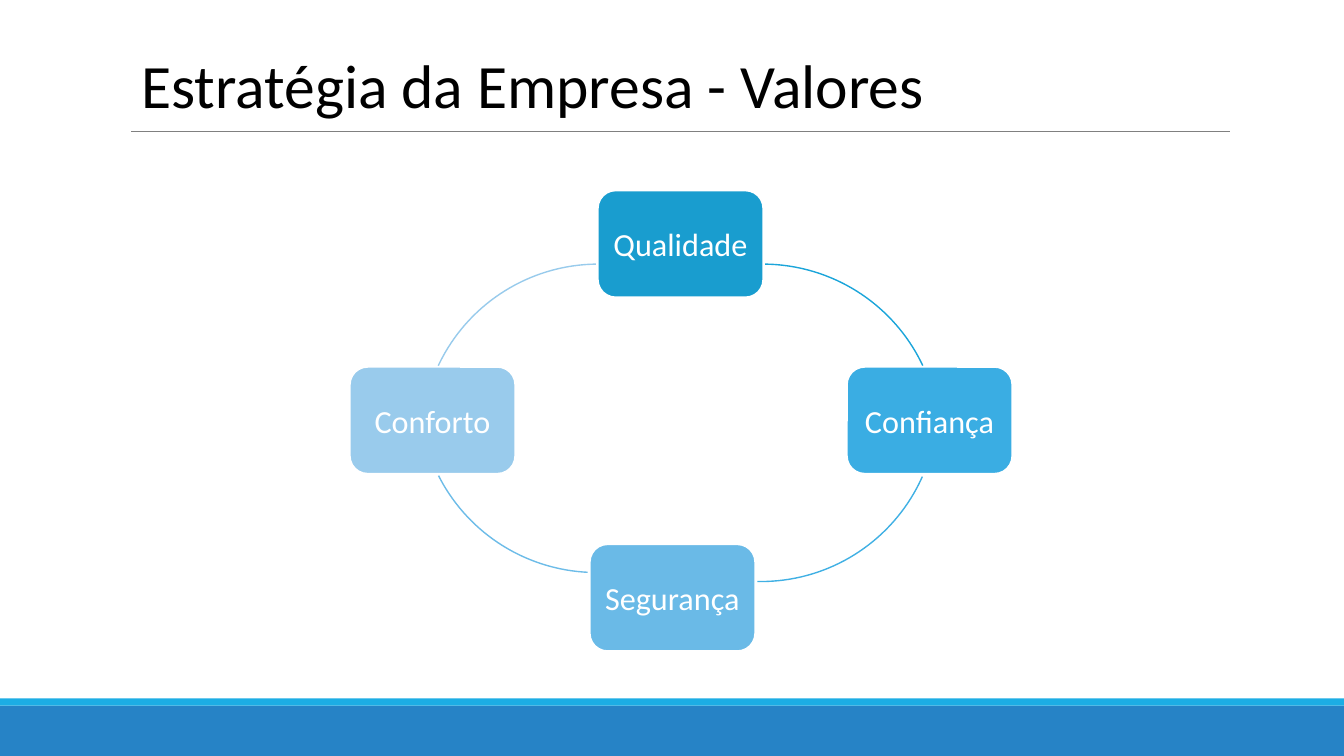
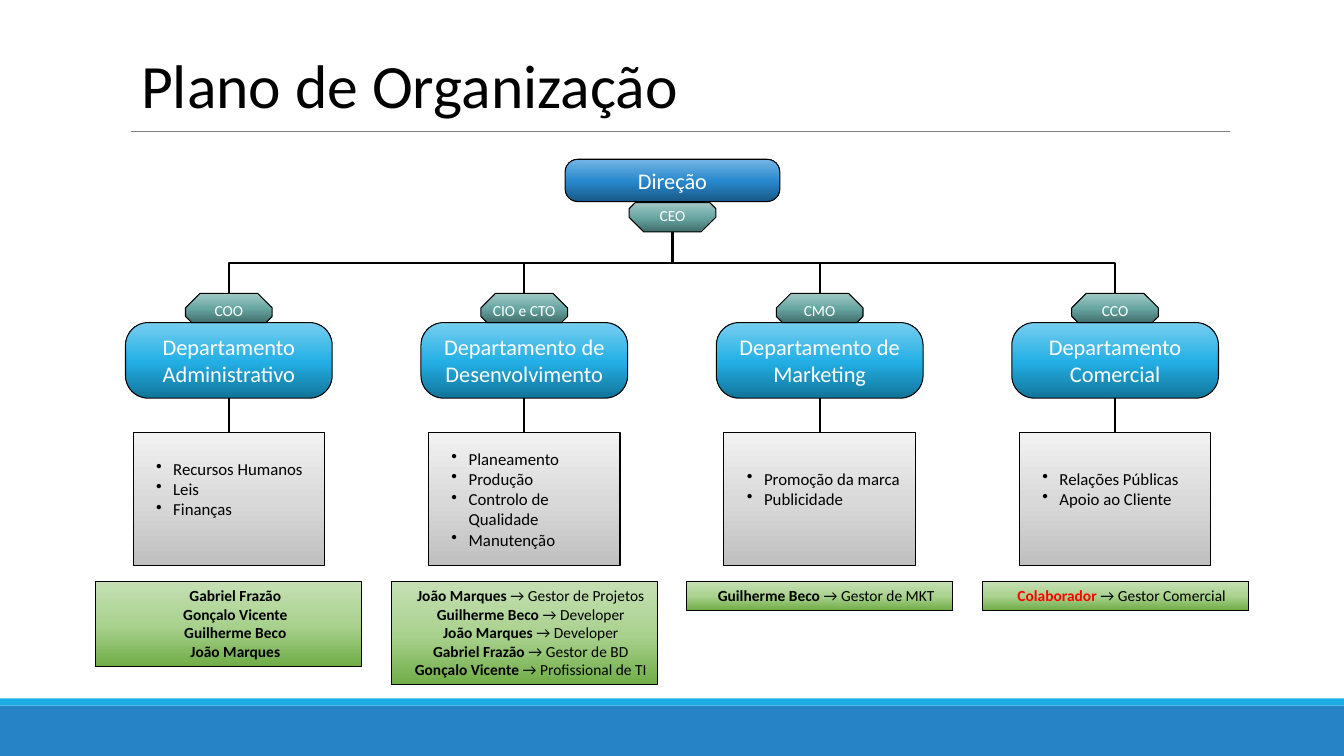
import copy
import dataclasses

import pptx
import pptx.dml.color
import pptx.enum.shapes
import pptx.enum.text
import pptx.oxml
import pptx.oxml.ns
import pptx.util
from pptx.util import Inches

SHAPES = pptx.enum.shapes.MSO_SHAPE
CONNECTORS = pptx.enum.shapes.MSO_CONNECTOR
ALIGN = pptx.enum.text.PP_ALIGN
ANCHOR = pptx.enum.text.MSO_ANCHOR


@dataclasses.dataclass(frozen=True)
class Theme:
    font: str = "Calibri"
    black: str = "000000"
    white: str = "FFFFFF"
    highlight: str = "FF0000"
    rule: str = "808080"
    band: str = "2683C6"
    band_edge: str = "1CADE4"
    board: tuple = ("195885", "2788CD", "75B6E5")
    badge: tuple = ("416E6B", "67A6A2", "A1C8C5")
    department: tuple = ("127499", "23AFE5", "77CEEF")
    panel: tuple = ("BFBFBF", "D9D9D9", "F2F2F2")
    staff: tuple = ("70AD47", "A9D18E", "C5E0B4")
    title_size: int = 44
    value_size: int = 23
    department_size: int = 16
    list_size: int = 12
    small_size: int = 11


@dataclasses.dataclass(frozen=True)
class Department:
    role: str
    name: str
    duties: tuple
    staff: tuple


DEPARTMENTS = (
    Department("COO", "Departamento Administrativo",
               ("Recursos Humanos", "Leis", "Finanças"),
               (("Gabriel Frazão", ""), ("Gonçalo Vicente", ""),
                ("Guilherme Beco", ""), ("João Marques", ""))),
    Department("CIO e CTO", "Departamento de Desenvolvimento",
               ("Planeamento", "Produção", "Controlo de Qualidade", "Manutenção"),
               (("João Marques", "Gestor de Projetos"), ("Guilherme Beco", "Developer"),
                ("João Marques", "Developer"), ("Gabriel Frazão", "Gestor de BD"),
                ("Gonçalo Vicente", "Profissional de TI"))),
    Department("CMO", "Departamento de Marketing",
               ("Promoção da marca", "Publicidade"),
               (("Guilherme Beco", "Gestor de MKT"),)),
    Department("CCO", "Departamento Comercial",
               ("Relações Públicas", "Apoio ao Cliente"),
               (("Colaborador", "Gestor Comercial"),)),
)

VALUES = (
    ("Qualidade", 5.93, 1.89, "199DCF"),
    ("Confiança", 8.4, 3.64, "3AADE3"),
    ("Segurança", 5.85, 5.4, "6ABAE7"),
    ("Conforto", 3.47, 3.64, "99CBEC"),
)

ARCS = (
    (5.81, 2.62, 270.8, 334.8, "1BA5DA"),
    (5.79, 2.26, 24, 91.1, "40B0E4"),
    (4.16, 2.17, 92.8, 153.1, "6DBCE8"),
    (4.18, 2.62, 205.2, 269.2, "98CBEC"),
)


def rgb(colour):
    return pptx.dml.color.RGBColor.from_string(colour)


class Deck:
    def __init__(self, theme):
        self.theme = theme
        self.presentation = pptx.Presentation()
        self.presentation.slide_width = Inches(13.33)
        self.presentation.slide_height = Inches(7.5)
        self.slide = None

    def new_slide(self, title):
        layout = self.presentation.slide_layouts.get_by_name("Title Only")
        self.slide = self.presentation.slides.add_slide(layout)
        self.shape(SHAPES.RECTANGLE, 0, 7, 13.33, 0.5, self.theme.band)
        self.shape(SHAPES.RECTANGLE, 0, 6.93, 13.33, 0.07, self.theme.band_edge)
        self.title(title)
        self.line(1.3, 1.3, 12.2, 1.3, self.theme.rule, 0.5)

    def title(self, text):
        shape = self.slide.shapes.title
        shape.left, shape.top = Inches(1.3), Inches(0.41)
        shape.width, shape.height = Inches(10.9), Inches(0.84)
        self.text(shape, [text], self.theme.title_size, self.theme.black, ALIGN.LEFT)
        shape.text_frame.auto_size = pptx.enum.text.MSO_AUTO_SIZE.NONE

    def shape(self, kind, left, top, width, height, fill=None, line=None,
              line_width=0.75, adjustments=()):
        shape = self.slide.shapes.add_shape(
            kind, Inches(left), Inches(top), Inches(width), Inches(height))
        shape.shadow.inherit = False
        for index, value in enumerate(adjustments):
            shape.adjustments[index] = value
        if fill is None:
            shape.fill.background()
        elif isinstance(fill, tuple):
            self.gradient(shape, fill)
        else:
            shape.fill.solid()
            shape.fill.fore_color.rgb = rgb(fill)
        if line is None:
            shape.line.fill.background()
        else:
            shape.line.color.rgb = rgb(line)
            shape.line.width = pptx.util.Pt(line_width)
        return shape

    def gradient(self, shape, colours):
        shape.fill.gradient()
        shape.fill.gradient_angle = 90
        stops = next(shape.element.spPr.iter(pptx.oxml.ns.qn("a:gsLst")))
        stops.append(copy.deepcopy(stops[0]))
        for stop, colour, position in zip(shape.fill.gradient_stops, colours, (0, 0.48, 1)):
            stop.color.rgb = rgb(colour)
            stop.position = position

    def text(self, shape, lines, size, colour, align=ALIGN.CENTER,
             anchor=ANCHOR.MIDDLE, margins=(0.1, 0.05, 0.1, 0.05)):
        frame = shape.text_frame
        frame.text = "\n".join(lines)
        frame.word_wrap = True
        frame.vertical_anchor = anchor
        (frame.margin_left, frame.margin_top,
         frame.margin_right, frame.margin_bottom) = map(Inches, margins)
        for paragraph in frame.paragraphs:
            paragraph.alignment = align
            for run in paragraph.runs:
                self.format_run(run, size, colour)
        return frame

    def format_run(self, run, size, colour, bold=False):
        run.font.name = self.theme.font
        run.font.size = pptx.util.Pt(size)
        run.font.color.rgb = rgb(colour)
        run.font.bold = bold

    def value(self, name, left, top, colour):
        shape = self.shape(SHAPES.ROUNDED_RECTANGLE, left, top, 1.64, 1.06,
                           colour, self.theme.white, 1.25)
        self.text(shape, [name], self.theme.value_size, self.theme.white,
                  margins=(0.05,) * 4)

    def arc(self, left, top, start, end, colour):
        self.shape(SHAPES.ARC, left, top, 3.51, 3.51, None, colour, 1,
                   (start * 0.6, end * 0.6))

    def unit(self, name, centre, top, width, height, colours):
        shape = self.shape(SHAPES.ROUNDED_RECTANGLE, centre - width / 2, top, width, height,
                           colours, self.theme.black, adjustments=(0.3,))
        self.text(shape, [name], self.theme.department_size, self.theme.white,
                  margins=(0.04,) * 4)

    def badge(self, role, centre, top, corners):
        shape = self.shape(SHAPES.SNIP_2_SAME_RECTANGLE, centre - 0.43, top, 0.86, 0.29,
                           self.theme.badge, self.theme.black, adjustments=corners)
        self.text(shape, [role], self.theme.small_size, self.theme.white, margins=(0,) * 4)

    def duties(self, items, centre):
        shape = self.shape(SHAPES.RECTANGLE, centre - 0.95, 4.29, 1.9, 1.32,
                           self.theme.panel, self.theme.black)
        bottom = 0.05 if len(items) > 3 else 0.25
        frame = self.text(shape, items, self.theme.list_size, self.theme.black, ALIGN.LEFT,
                          margins=(0.1, 0.05, 0.1, bottom))
        for paragraph in frame.paragraphs:
            properties = self.indent(paragraph, 0.3, -0.17)
            bullet = pptx.oxml.parse_xml(
                f'<a:buChar {pptx.oxml.ns.nsdecls("a")} char="•"/>')
            properties.append(bullet)

    def indent(self, paragraph, left, first):
        properties = paragraph._p.get_or_add_pPr()
        properties.set("marL", str(Inches(left)))
        properties.set("indent", str(Inches(first)))
        return properties

    def staff(self, people, centre):
        theme = self.theme
        shape = self.shape(SHAPES.RECTANGLE, centre - 1.32, 5.77, 2.64,
                           0.1 + 0.185 * len(people), theme.staff, theme.black)
        names = [f"{name} " if job else name for name, job in people]
        frame = self.text(shape, names, theme.small_size, theme.black,
                          anchor=ANCHOR.TOP, margins=(0.05,) * 4)
        for paragraph, (name, job) in zip(frame.paragraphs, people):
            self.indent(paragraph, 0.13, 0)
            colour = theme.highlight if name == "Colaborador" else theme.black
            self.format_run(paragraph.runs[0], theme.small_size, colour, True)
            if job:
                run = paragraph.add_run()
                run.text = f"→ {job}"
                self.format_run(run, theme.small_size, theme.black)

    def line(self, x1, y1, x2, y2, colour, width, kind=CONNECTORS.STRAIGHT):
        connector = self.slide.shapes.add_connector(
            kind, Inches(x1), Inches(y1), Inches(x2), Inches(y2))
        connector.line.color.rgb = rgb(colour)
        connector.line.width = pptx.util.Pt(width)
        connector.element.spPr.append(
            pptx.oxml.parse_xml(f'<a:effectLst {pptx.oxml.ns.nsdecls("a")}/>'))
        return connector

    def branch(self, x1, y1, x2, y2):
        drop, span = y2 - y1, abs(x2 - x1)
        near, far = (x1 + x2 - drop) / 2, (x1 + x2 + drop) / 2
        top = (y1 + y2 - span) / 2
        rightward = x2 > x1
        if rightward:
            near, far = far, near
        connector = self.line(near, top, far, top + span, self.theme.black, 1.5,
                              CONNECTORS.ELBOW)
        frame = connector.element.spPr.find(pptx.oxml.ns.qn("a:xfrm"))
        frame.set("rot", str((270 if rightward else 90) * 60000))


def values_slide(deck):
    deck.new_slide("Estratégia da Empresa - Valores")
    for value, arc in zip(VALUES, ARCS):
        deck.value(*value)
        deck.arc(*arc)


def organisation_slide(deck):
    theme = deck.theme
    middle = 6.67
    deck.new_slide("Plano de Organização")
    deck.unit("Direção", middle, 1.58, 2.13, 0.42, theme.board)
    deck.badge("CEO", middle, 2.01, (0.21, 0.5))
    for index, department in enumerate(DEPARTMENTS):
        centre = 2.27 + 2.93 * index
        deck.branch(middle, 2.3, centre, 2.91)
        deck.line(centre, 3.95, centre, 4.29, theme.black, 1.5)
        deck.unit(department.name, centre, 3.2, 2.05, 0.75, theme.department)
        deck.badge(department.role, centre, 2.91, (0.5, 0.21))
        deck.duties(department.duties, centre)
        deck.staff(department.staff, centre)


def main():
    deck = Deck(Theme())
    values_slide(deck)
    organisation_slide(deck)
    deck.presentation.save("out.pptx")


if __name__ == "__main__":
    main()
